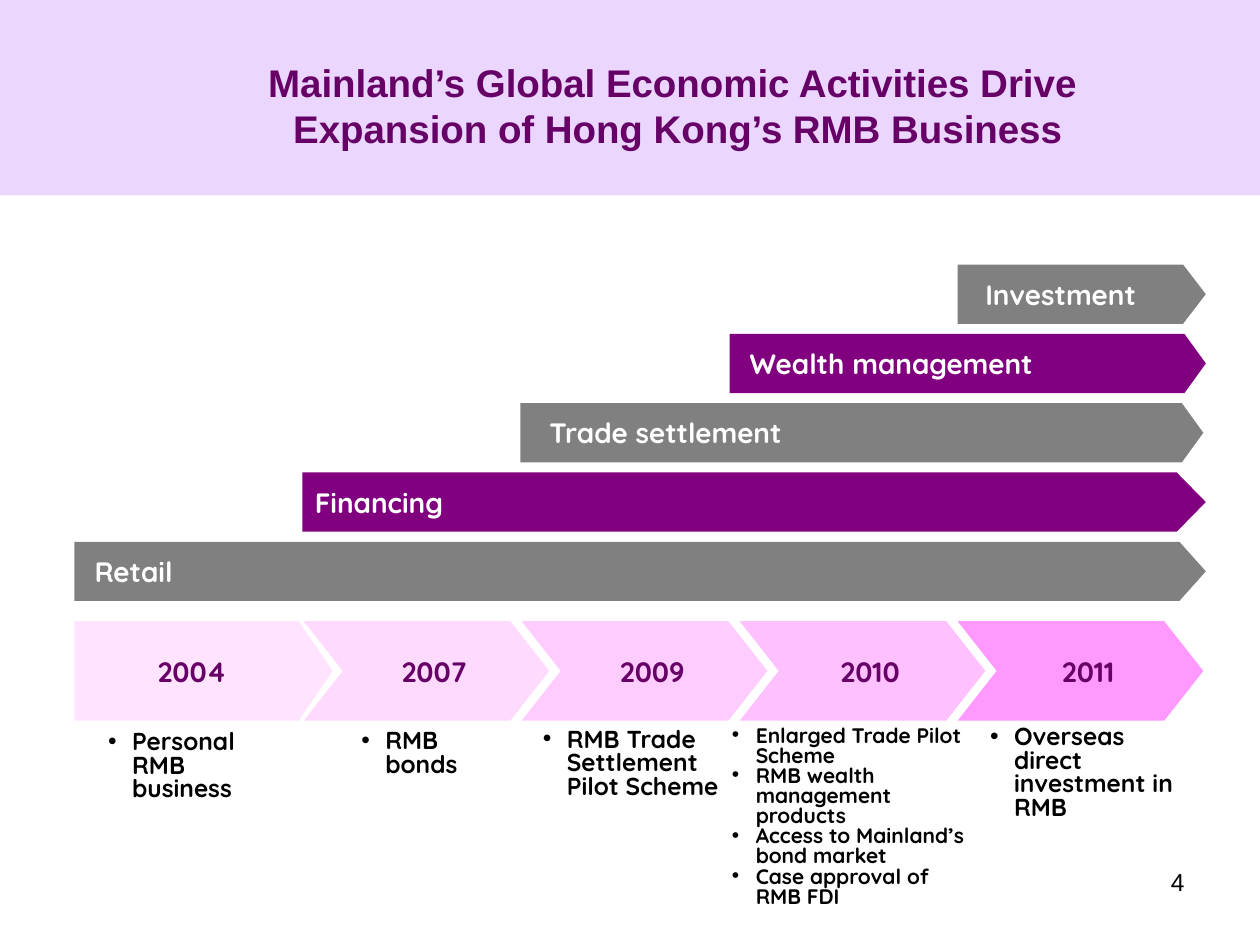
from lxml.etree import SubElement
from pptx import Presentation
from pptx.dml.color import RGBColor as Rgb
from pptx.enum.shapes import MSO_SHAPE as Kind
from pptx.enum.text import MSO_ANCHOR as Anchor, PP_ALIGN as Align
from pptx.oxml.ns import qn
from pptx.util import Inches, Pt

HUES = {"plum": "660066", "purple": "800080", "gray": "808080", "lilac": "CC99FF",
        "pink": "FFCCFF", "rose": "FF99FF", "black": "000000", "white": "FFFFFF"}
TITLE = "Mainland’s Global Economic Activities Drive \vExpansion of Hong Kong’s RMB Business"
BARS = [
    ("Investment", 7.6, 9.57, 0.18, 0.22),
    ("Wealth management", 5.79, 9.57, 0.17, 0.16),
    ("Trade settlement", 4.13, 9.55, 0.17, 0.23),
    ("Financing", 2.4, 9.57, 0.23, 0.1),
    ("Retail", 0.59, 9.57, 0.21, 0.16),
]
YEARS = [("2004", "pink", 55), ("2007", "pink", 72), ("2009", "pink", 100),
         ("2010", "rose", 61), ("2011", "rose", 100)]
LISTS = [
    (0.76, 5.76, 1.41, 14, ["Personal RMB business"]),
    (2.77, 5.75, 1.13, 14, ["RMB bonds"]),
    (4.21, 5.74, 1.65, 14, ["RMB Trade Settlement Pilot Scheme"]),
    (5.71, 5.72, 2.13, 12, ["Enlarged Trade Pilot Scheme", "RMB wealth management products",
                            "Access to Mainland’s bond market", "Case approval of RMB FDI"]),
    (7.76, 5.72, 1.73, 14, ["Overseas direct investment in RMB"]),
]
BAR_TOP, BAR_STEP, BAR_H = 2.1, 0.55, 0.47
YEAR_TOP, YEAR_H, YEAR_W, YEAR_X, YEAR_STEP = 4.93, 0.79, 1.95, 2.41, 1.73


def style(para, size, hue, face="Quicksand", bold=True, align=Align.LEFT):
    font = para.font
    font.size, font.name, font.bold = Pt(size), face, bold
    font.color.rgb = Rgb.from_string(HUES[hue])
    para.alignment = align


def block(kind, box, hue, alpha=100):
    shape = slide.shapes.add_shape(kind, *map(Inches, box))
    shape.shadow.inherit = False
    shape.line.fill.background()
    shape.fill.solid()
    shape.fill.fore_color.rgb = Rgb.from_string(HUES[hue])
    if alpha < 100:
        tint = shape.fill._xPr.find(qn("a:solidFill"))[0]
        SubElement(tint, qn("a:alpha"), val=str(alpha * 1000))
    return shape


def arrow(kind, box, tip, text, hue, ink, alpha=100, inset=0.1, align=Align.LEFT):
    shape = block(kind, box, hue, alpha)
    shape.adjustments[0] = tip / box[3]
    frame = shape.text_frame
    frame.text = text
    frame.margin_left = Inches(inset)
    frame.vertical_anchor = Anchor.MIDDLE
    style(frame.paragraphs[0], 16, ink, align=align)


def bullet(para):
    props = para._p.get_or_add_pPr()
    props.set("marL", str(Inches(0.19)))
    props.set("indent", str(-Inches(0.19)))
    SubElement(props, qn("a:buFont"), typeface="Arial")
    SubElement(props, qn("a:buChar"), char="•")


def textbox(box, lines):
    frame = slide.shapes.add_textbox(*map(Inches, box)).text_frame
    frame.word_wrap = True
    frame.text = "\n".join(lines)
    return frame.paragraphs


deck = Presentation()
deck.slide_width, deck.slide_height = Inches(10), Inches(7.5)
slide = deck.slides.add_slide(deck.slide_layouts[5])

title = slide.shapes.title
title.left, title.top, title.width, title.height = map(Inches, (0.88, 0.21, 9, 1.25))
title.text_frame.text = TITLE
title.text_frame.vertical_anchor = Anchor.MIDDLE
style(title.text_frame.paragraphs[0], 22, "plum", "Arial", align=Align.CENTER)
band = block(Kind.RECTANGLE, (0, 0, 10, 1.55), "lilac", 40)
title._element.addprevious(band._element)

for row, (text, left, right, tip, inset) in enumerate(BARS):
    box = (left, BAR_TOP + row * BAR_STEP, right - left, BAR_H)
    arrow(Kind.PENTAGON, box, tip, text, "purple" if row % 2 else "gray", "white", inset=inset)

for col, (year, hue, alpha) in enumerate(YEARS):
    if col:
        box = (YEAR_X + (col - 1) * YEAR_STEP, YEAR_TOP, YEAR_W, YEAR_H)
        arrow(Kind.CHEVRON, box, 0.31, year, hue, "plum", alpha, 0.22, Align.CENTER)
    else:
        box = (0.59, YEAR_TOP, 2.05, YEAR_H)
        arrow(Kind.PENTAGON, box, 0.27, year, hue, "plum", alpha, 0.66)

for left, top, width, size, lines in LISTS:
    for para in textbox((left, top, width, 0.85), lines):
        para.line_spacing = 0.8
        style(para, size, "black")
        bullet(para)

style(textbox((7.17, 6.83, 2.33, 0.52), ["4"])[0], 14, "black", "Arial", False, Align.RIGHT)

deck.save("out.pptx")
